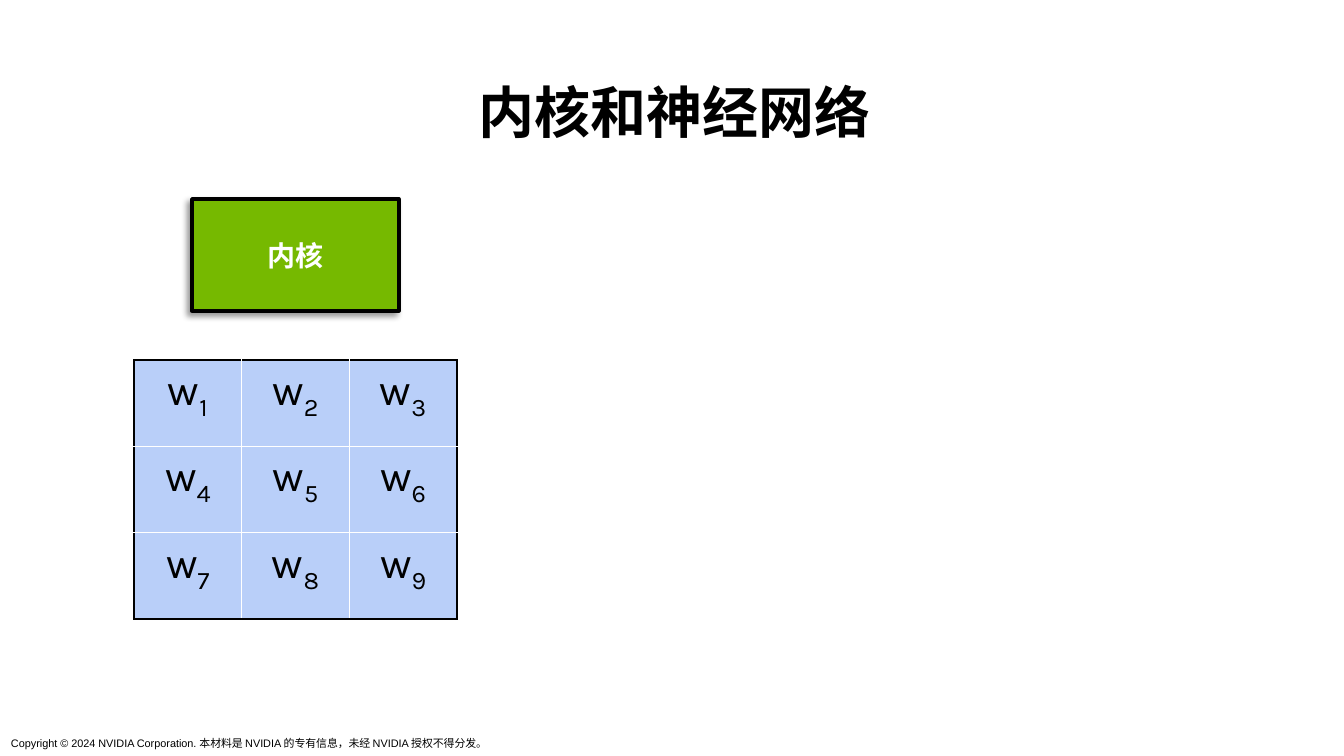
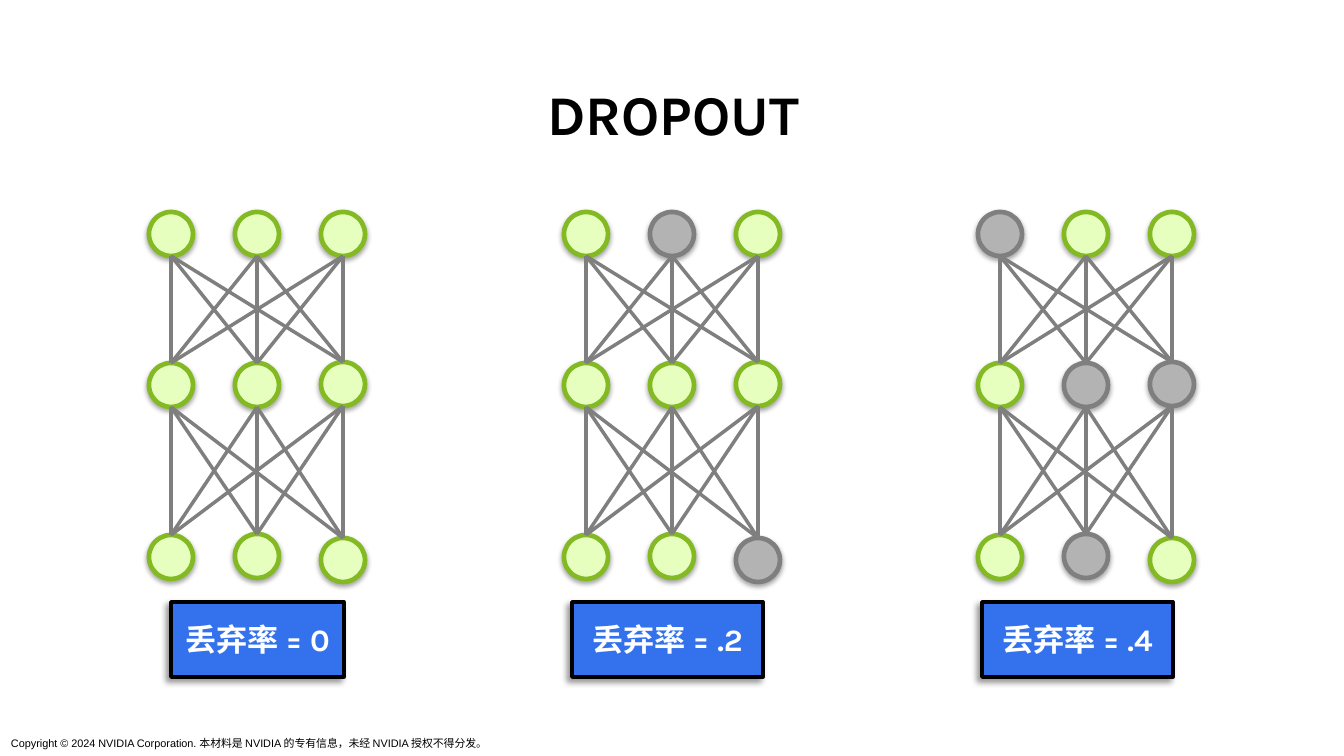
from itertools import product

from lxml import etree
from pptx import Presentation
from pptx import util as u
from pptx.dml.color import RGBColor
from pptx.enum import shapes, text
from pptx.oxml import ns

PX = 914400 / 112  # EMU in one px

BLACK = RGBColor(0x00, 0x00, 0x00)
WHITE = RGBColor(0xFF, 0xFF, 0xFF)
GREEN = RGBColor(0x76, 0xB9, 0x00)
BLUE = RGBColor(0x33, 0x72, 0xEC)
PALE_BLUE = RGBColor(0xB9, 0xCF, 0xF9)
NODE_FILL = RGBColor(0xE6, 0xFF, 0xBE)
NODE_LINE = RGBColor(0x83, 0xBA, 0x24)
DROPPED_FILL = RGBColor(0xB3, 0xB3, 0xB3)
GREY = RGBColor(0x7F, 0x7F, 0x7F)

FONT = "Karla"
FOOTER_FONT = "Arial"
FOOTER = "Copyright © 2024 NVIDIA Corporation. 本材料是 NVIDIA 的专有信息，未经 NVIDIA 授权不得分发。"

# Shadows: opacity %, blur pt, distance pt, direction in degrees
LABEL_SHADOW = (40, 4, 3, 135)
NODE_SHADOW = (34, 3.1, 1.8, 90)

# Network geometry, relative to its box
NODE_SIZE = 44
COLUMN_STEP = 86
LAYER_TOPS = ((0, 0, 0), (151, 151, 150), (323, 322, 326))


def emu(*lengths):
    return [u.Emu(round(length * PX)) for length in lengths]


def style_paragraph(paragraph, size, color, bold=False, name=FONT,
                    align=text.PP_ALIGN.CENTER):
    paragraph.alignment = align
    font = paragraph.font
    font.name, font.size, font.bold = name, u.Pt(size), bold
    font.color.rgb = color


def paint(shape, fill, line, width):
    shape.fill.solid()
    shape.fill.fore_color.rgb = fill
    shape.line.color.rgb = line
    shape.line.width = u.Pt(width)


def set_shadow(shape, shadow=None):
    """Replace the theme shadow with the given one, or with none."""
    properties = shape._element.spPr
    effects = etree.SubElement(properties, ns.qn("a:effectLst"))
    if shadow:
        opacity, blur, distance, direction = shadow
        outer = etree.SubElement(
            effects, ns.qn("a:outerShdw"), blurRad=str(u.Pt(blur)),
            dist=str(u.Pt(distance)), dir=str(direction * 60000),
            algn="ctr", rotWithShape="0")
        color = etree.SubElement(outer, ns.qn("a:srgbClr"), val=str(BLACK))
        etree.SubElement(color, ns.qn("a:alpha"), val=str(opacity * 1000))


def add_title(slide, box, title):
    frame = slide.shapes.add_textbox(*emu(*box)).text_frame
    frame.word_wrap = True
    frame.vertical_anchor = text.MSO_ANCHOR.BOTTOM
    frame.text = title
    paragraph = frame.paragraphs[0]
    paragraph.line_spacing = 0.9
    style_paragraph(paragraph, 36, BLACK, bold=True)


def add_footer(slide):
    frame = slide.shapes.add_textbox(*emu(0, 731, 507, 25)).text_frame
    frame.word_wrap = False
    frame.auto_size = text.MSO_AUTO_SIZE.SHAPE_TO_FIT_TEXT
    frame.text = FOOTER
    style_paragraph(frame.paragraphs[0], 7, BLACK, name=FOOTER_FONT,
                    align=text.PP_ALIGN.LEFT)


def add_label(slide, box, label, fill, size):
    shape = slide.shapes.add_shape(shapes.MSO_SHAPE.RECTANGLE, *emu(*box))
    paint(shape, fill, BLACK, 2.25)
    set_shadow(shape, LABEL_SHADOW)
    frame = shape.text_frame
    frame.word_wrap = True
    frame.vertical_anchor = text.MSO_ANCHOR.MIDDLE
    frame.text = label
    style_paragraph(frame.paragraphs[0], size, WHITE, bold=True)


def set_borders(cell, outer_sides):
    """Draw black lines on the outer sides and white lines inside."""
    properties = cell._tc.get_or_add_tcPr()
    for position, side in enumerate("LRTB"):
        line = etree.Element(ns.qn(f"a:ln{side}"), w=str(u.Pt(1)))
        fill = etree.SubElement(line, ns.qn("a:solidFill"))
        color = BLACK if side in outer_sides else WHITE
        etree.SubElement(fill, ns.qn("a:srgbClr"), val=str(color))
        properties.insert(position, line)


def add_weights(slide, box, count=3):
    table = slide.shapes.add_table(count, count, *emu(*box)).table
    table.first_row = table.horz_banding = False
    last = count - 1
    for row, column in product(range(count), repeat=2):
        cell = table.cell(row, column)
        cell.fill.solid()
        cell.fill.fore_color.rgb = PALE_BLUE
        edges = {"L": column == 0, "R": column == last,
                 "T": row == 0, "B": row == last}
        set_borders(cell, [side for side, outer in edges.items() if outer])
        paragraph = cell.text_frame.paragraphs[0]
        paragraph.add_run().text = "w"
        subscript = paragraph.add_run()
        subscript.text = str(row * count + column + 1)
        subscript._r.get_or_add_rPr().set("baseline", "-25000")
        style_paragraph(paragraph, 28, BLACK)


def add_network(slide, left, top, dropped):
    """Draw three layers; dropped holds (layer, column) of the grey nodes."""
    group = slide.shapes.add_group_shape()
    columns = range(len(LAYER_TOPS[0]))

    # Nodes
    for layer, column in product(range(len(LAYER_TOPS)), columns):
        node = group.shapes.add_shape(
            shapes.MSO_SHAPE.OVAL,
            *emu(left + column * COLUMN_STEP, top + LAYER_TOPS[layer][column],
                 NODE_SIZE, NODE_SIZE))
        if (layer, column) in dropped:
            paint(node, DROPPED_FILL, GREY, 3)
        else:
            paint(node, NODE_FILL, NODE_LINE, 3)
        set_shadow(node, NODE_SHADOW)

    # Links from each node to every node of the next layer
    center = left + NODE_SIZE / 2
    for upper, lower in zip(LAYER_TOPS, LAYER_TOPS[1:]):
        for start, end in product(columns, repeat=2):
            link = group.shapes.add_connector(
                shapes.MSO_CONNECTOR.STRAIGHT,
                *emu(center + start * COLUMN_STEP,
                     top + upper[start] + NODE_SIZE,
                     center + end * COLUMN_STEP, top + lower[end]))
            link.line.color.rgb = GREY
            link.line.width = u.Pt(2.25)
            set_shadow(link)


def add_slide(presentation, title_box, title):
    slide = presentation.slides.add_slide(presentation.slide_layouts[6])
    add_footer(slide)
    add_title(slide, title_box, title)
    return slide


def build_kernel_slide(presentation):
    slide = add_slide(presentation, (64, 78, 1222, 73), "内核和神经网络")
    add_label(slide, (192, 199, 207, 112), "内核", GREEN, 18)
    add_weights(slide, (134, 360, 323, 259))


def build_dropout_slide(presentation):
    slide = add_slide(presentation, (62, 80, 1222, 73), "DROPOUT")
    # Network left, label left, label width, rate, dropped nodes
    networks = (
        (149, 171, 173, "0", ()),
        (564, 572, 191, ".2", ((0, 1), (2, 2))),
        (978, 982, 191, ".4", ((0, 0), (1, 1), (1, 2), (2, 1))),
    )
    for left, label_left, label_width, rate, dropped in networks:
        add_network(slide, left, 212, dropped)
        add_label(slide, (label_left, 602, label_width, 75),
                  f"丢弃率 = {rate}", BLUE, 20)


def main():
    presentation = Presentation()
    presentation.slide_width, presentation.slide_height = emu(1344, 756)
    build_kernel_slide(presentation)
    build_dropout_slide(presentation)
    presentation.save("out.pptx")


if __name__ == "__main__":
    main()
